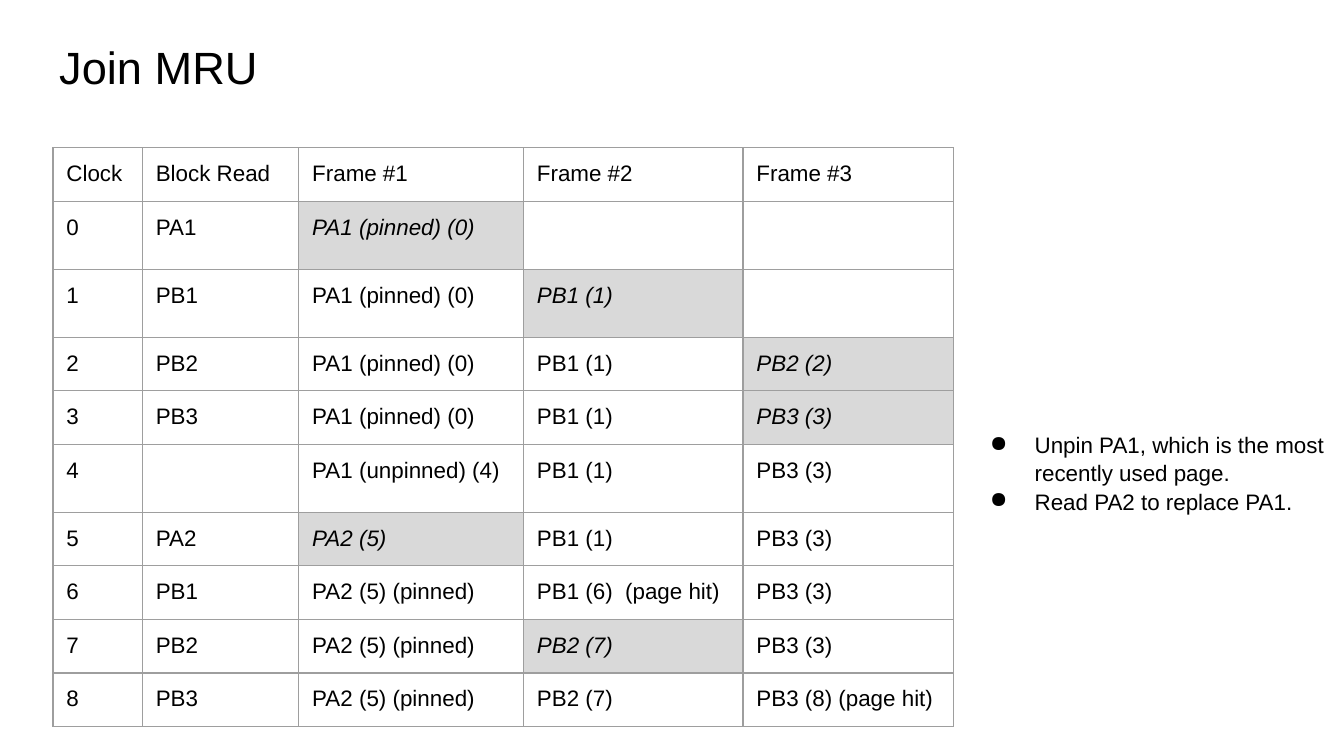
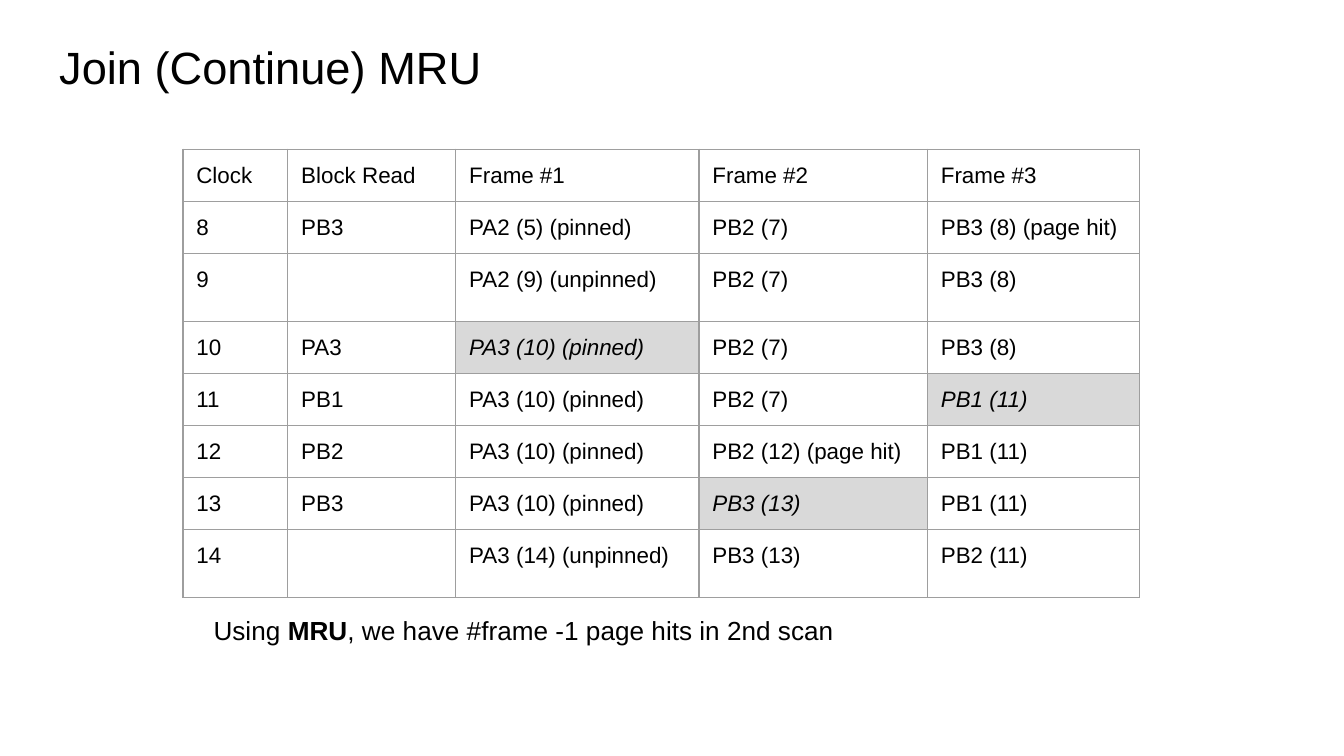
from dataclasses import dataclass

import lxml.etree
import pptx
import pptx.dml.color
import pptx.enum.text
import pptx.oxml.ns
import pptx.util

Pt = pptx.util.Pt
qn = pptx.oxml.ns.qn

FONT = "Arial"
BLACK, WHITE, SHADE, GRID = "000000", "FFFFFF", "D9D9D9", "9E9E9E"
INSET = 7.2
NEW_MARK = "*"
TALL_ROW = 34.5
HEADER = "Clock|Block Read|Frame #1|Frame #2|Frame #3"


@dataclass(frozen=True)
class Box:
    left: float
    top: float
    width: float
    height: float

    def lengths(self) -> list:
        return [Pt(v) for v in (self.left, self.top, self.width, self.height)]


@dataclass(frozen=True)
class Run:
    text: str
    bold: bool = False
    italic: bool = False


@dataclass(frozen=True)
class FrameTable:
    left: float
    top: float
    row_height: float
    widths: tuple[float, ...]
    rows: tuple[str, ...]


@dataclass(frozen=True)
class Note:
    box: Box
    size: float
    paragraphs: tuple[tuple[Run, ...], ...]
    bulleted: bool = False


@dataclass(frozen=True)
class Page:
    title: str
    table: FrameTable
    note: Note


TITLE_BOX = Box(24.5, 10.8, 671, 40.3)

PAGES = (
    Page(
        "Join MRU",
        FrameTable(28.4, 79.2, 28.7, (47.9, 83.8, 120.4, 117.6, 112.9), (
            HEADER,
            "0|PA1|*PA1 (pinned) (0)||",
            "1|PB1|PA1 (pinned) (0)|*PB1 (1)|",
            "2|PB2|PA1 (pinned) (0)|PB1 (1)|*PB2 (2)",
            "3|PB3|PA1 (pinned) (0)|PB1 (1)|*PB3 (3)",
            "4||PA1 (unpinned) (4)|PB1 (1)|PB3 (3)",
            "5|PA2|*PA2 (5)|PB1 (1)|PB3 (3)",
            "6|PB1|PA2 (5) (pinned)|PB1 (6)  (page hit)|PB3 (3)",
            "7|PB2|PA2 (5) (pinned)|*PB2 (7)|PB3 (3)",
            "8|PB3|PA2 (5) (pinned)|PB2 (7)|PB3 (8) (page hit)",
        )),
        Note(Box(511.2, 223.2, 206, 58.3), 12, (
            (Run("Unpin PA1, which is the most recently used page."),),
            (Run("Read PA2 to replace PA1."),),
        ), bulleted=True),
    ),
    Page(
        "Join (Continue) MRU",
        FrameTable(98, 80, 27.9, (56.2, 90, 130.3, 122.4, 113.8), (
            HEADER,
            "8|PB3|PA2 (5) (pinned)|PB2 (7)|PB3 (8) (page hit)",
            "9||PA2 (9) (unpinned)|PB2 (7)|PB3 (8)",
            "10|PA3|*PA3 (10) (pinned)|PB2 (7)|PB3 (8)",
            "11|PB1|PA3 (10) (pinned)|PB2 (7)|*PB1 (11)",
            "12|PB2|PA3 (10) (pinned)|PB2 (12) (page hit)|PB1 (11)",
            "13|PB3|PA3 (10) (pinned)|*PB3 (13)|PB1 (11)",
            "14||PA3 (14) (unpinned)|PB3 (13)|PB2 (11)",
        )),
        Note(Box(107.3, 321.1, 519, 48.2), 14, (
            (Run("Using "), Run("MRU", bold=True),
             Run(", we have #frame -1 page hits in 2nd scan")),
        )),
    ),
)


def rgb(value: str) -> pptx.dml.color.RGBColor:
    return pptx.dml.color.RGBColor.from_string(value)


def apply_format(target, values: dict) -> None:
    for name, value in values.items():
        setattr(target, name, value)


def set_insets(target) -> None:
    apply_format(target, {f"margin_{side}": Pt(INSET)
                          for side in ("left", "top", "right", "bottom")})


def add_run(p, run: Run, size: float) -> None:
    r = p.add_run()
    r.text = run.text
    apply_format(r.font, {"name": FONT, "size": Pt(size),
                          "bold": run.bold, "italic": run.italic})
    r.font.color.rgb = rgb(BLACK)


def add_bullet(p) -> None:
    pPr = p._p.get_or_add_pPr()
    pPr.set("marL", str(Pt(36)))
    pPr.set("indent", str(-Pt(24)))
    colour = lxml.etree.SubElement(pPr, qn("a:buClr"))
    lxml.etree.SubElement(colour, qn("a:srgbClr"), val=BLACK)
    lxml.etree.SubElement(pPr, qn("a:buChar"), char="●")


def add_borders(cell) -> None:
    tcPr = cell._tc.get_or_add_tcPr()
    for i, side in enumerate(("lnL", "lnR", "lnT", "lnB")):
        ln = lxml.etree.Element(qn(f"a:{side}"), w=str(Pt(0.75)))
        fill = lxml.etree.SubElement(ln, qn("a:solidFill"))
        lxml.etree.SubElement(fill, qn("a:srgbClr"), val=GRID)
        tcPr.insert(i, ln)


def add_title(s, text: str) -> None:
    sp = s.shapes.title
    sp.left, sp.top, sp.width, sp.height = TITLE_BOX.lengths()
    tf = sp.text_frame
    set_insets(tf)
    apply_format(tf, {"margin_top": Pt(10.2), "word_wrap": True,
                      "auto_size": pptx.enum.text.MSO_AUTO_SIZE.NONE,
                      "vertical_anchor": pptx.enum.text.MSO_ANCHOR.TOP})
    p = tf.paragraphs[0]
    p.alignment = pptx.enum.text.PP_ALIGN.LEFT
    add_run(p, Run(text), 24.2)


def add_frame_table(s, spec: FrameTable) -> None:
    rows = [row.split("|") for row in spec.rows]
    heights = [spec.row_height if all(row) else TALL_ROW for row in rows]
    box = Box(spec.left, spec.top, sum(spec.widths), sum(heights))
    table = s.shapes.add_table(len(rows), len(spec.widths), *box.lengths()).table
    apply_format(table, {"first_row": False, "horz_banding": False})
    for column, width in zip(table.columns, spec.widths):
        column.width = Pt(width)
    for table_row, height, texts in zip(table.rows, heights, rows):
        table_row.height = Pt(height)
        for cell, text in zip(table_row.cells, texts):
            is_new = text.startswith(NEW_MARK)
            set_insets(cell)
            cell.fill.solid()
            cell.fill.fore_color.rgb = rgb(SHADE if is_new else WHITE)
            add_borders(cell)
            if text:
                run = Run(text.removeprefix(NEW_MARK), italic=is_new)
                add_run(cell.text_frame.paragraphs[0], run, 12)


def add_note(s, note: Note) -> None:
    tf = s.shapes.add_textbox(*note.box.lengths()).text_frame
    set_insets(tf)
    apply_format(tf, {"word_wrap": True,
                      "auto_size": pptx.enum.text.MSO_AUTO_SIZE.SHAPE_TO_FIT_TEXT})
    for i, runs in enumerate(note.paragraphs):
        p = tf.add_paragraph() if i else tf.paragraphs[0]
        p.line_spacing = 1.05
        if note.bulleted:
            add_bullet(p)
        for run in runs:
            add_run(p, run, note.size)


def build() -> None:
    prs = pptx.Presentation()
    apply_format(prs, {"slide_width": Pt(720), "slide_height": Pt(405)})
    title_only = prs.slide_layouts[5]
    for page in PAGES:
        s = prs.slides.add_slide(title_only)
        add_frame_table(s, page.table)
        add_title(s, page.title)
        add_note(s, page.note)
    prs.save("out.pptx")


build()
